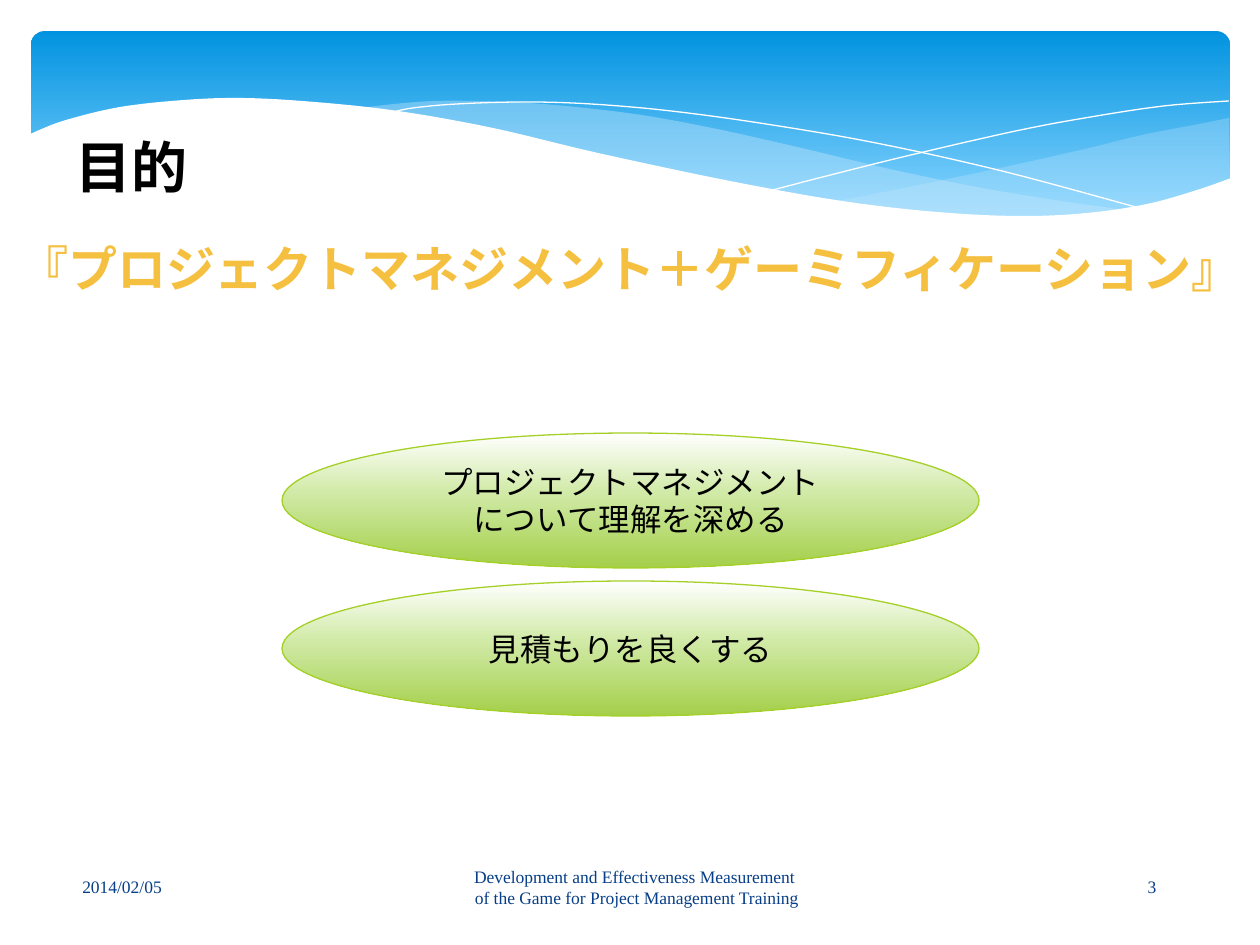
from itertools import pairwise

from lxml.etree import SubElement
from pptx import Presentation
from pptx.dml.color import RGBColor
from pptx.enum.shapes import MSO_SHAPE
from pptx.enum.text import MSO_ANCHOR, PP_ALIGN
from pptx.oxml.ns import qn
from pptx.util import Inches, Pt

PX_PER_INCH = 126
STEPS = 6
CJK_FONT = "Noto Sans CJK JP"
COLORS = {
    "text": "000000",
    "footer": "073E87",
    "subtitle": "F5C040",
    "goal_line": "A5D028",
    "wave": "C6E7FC",
    "white": "FFFFFF",
}
HEADER_STOPS = [(0, "0293E0"), (90, "83D3FE")]
GOAL_STOPS = [(0, "FFFFFF"), (44, "D1EAA7"), (100, "A4CF4A")]

RIGHT_WAVE_TOP = [(1229, 118), (1194, 125), (1142, 135), (1085, 149), (1014, 165),
                  (919, 185), (833, 202)]
RIGHT_WAVE_BOTTOM = [(833, 202), (871, 207), (922, 212), (984, 216), (1038, 217),
                     (1087, 214), (1140, 206), (1187, 194), (1230, 178)]
LONG_WAVE_TOP = [(1125, 210), (1055, 200), (977, 187), (890, 169), (793, 146),
                 (717, 129), (648, 116), (586, 108), (529, 103), (479, 101),
                 (433, 101), (394, 104), (360, 108)]
LONG_WAVE_BOTTOM = [(360, 108), (431, 118), (509, 133), (566, 146), (668, 170),
                    (757, 189), (838, 203), (910, 211), (974, 216), (1031, 218),
                    (1080, 216), (1125, 210)]
FALLING_LINE = [(389, 113), (413, 108), (457, 104), (524, 102), (591, 104),
                (671, 111), (766, 124), (876, 143), (1002, 171), (1143, 209)]
RISING_LINE = [(773, 190), (823, 177), (907, 156), (1016, 131), (1091, 117),
               (1164, 106), (1229, 101)]
HEADER_EDGE = [(1231, 178), (1197, 190), (1147, 204), (1087, 213), (1019, 216),
               (937, 212), (842, 201), (730, 181), (598, 153), (493, 128),
               (398, 111), (315, 102), (243, 98), (184, 100), (120, 107),
               (66, 120), (37, 131), (29, 135)]
COVER_CORNERS = [(29, 282), (1231, 282)]


def px(length):
    return Inches(length / PX_PER_INCH)


def rgb(name):
    return RGBColor.from_string(COLORS[name])


def smooth(knots):
    """Return points of a Catmull-Rom curve through the knots."""
    padded = [knots[0], *knots, knots[-1]]
    points = [knots[0]]
    for i, (start, end) in enumerate(pairwise(knots)):
        before, after = padded[i], padded[i + 3]
        for step in range(1, STEPS + 1):
            t = step / STEPS
            points.append(tuple(
                b + t * (c - a) / 2
                + t**2 * (2 * a - 5 * b + 4 * c - d) / 2
                + t**3 * (3 * b - a - 3 * c + d) / 2
                for a, b, c, d in zip(before, start, end, after)))
    return points


def add_outline(slide, points, close):
    corners = [(px(x), px(y)) for x, y in points]
    builder = slide.shapes.build_freeform(*corners[0])
    builder.add_line_segments(corners[1:], close=close)
    outline = builder.convert_to_shape()
    outline.shadow.inherit = False
    return outline


def add_area(slide, points, color, opacity=100):
    area = add_outline(slide, points, True)
    area.fill.solid()
    area.fill.fore_color.rgb = rgb(color)
    area.line.fill.background()
    if opacity < 100:
        tint = area.fill._xPr.find(".//" + qn("a:srgbClr"))
        SubElement(tint, qn("a:alpha"), val=str(opacity * 1000))


def add_hairline(slide, knots):
    hairline = add_outline(slide, smooth(knots), False)
    hairline.fill.background()
    hairline.line.color.rgb = rgb("white")
    hairline.line.width = Pt(0)


def add_gradient_shape(slide, kind, box, stops):
    shape = slide.shapes.add_shape(kind, *map(px, box))
    shape.shadow.inherit = False
    shape.line.fill.background()
    shape.fill.gradient()
    shape.fill.gradient_angle = 270
    stop_list = shape.fill._xPr.find(".//" + qn("a:gsLst"))
    for old_stop in list(stop_list):
        stop_list.remove(old_stop)
    for position, color in stops:
        stop = SubElement(stop_list, qn("a:gs"), pos=str(position * 1000))
        SubElement(stop, qn("a:srgbClr"), val=color)
    return shape


def write(shape, lines, size, color, font=CJK_FONT, bold=False,
          align=PP_ALIGN.CENTER, anchor=MSO_ANCHOR.MIDDLE):
    frame = shape.text_frame
    frame.word_wrap = True
    frame.vertical_anchor = anchor
    frame.text = "\n".join(lines)
    for paragraph in frame.paragraphs:
        paragraph.alignment = align
        paragraph.font.size = Pt(size)
        paragraph.font.bold = bold
        paragraph.font.color.rgb = rgb(color)
        paragraph.font.name = font
        SubElement(paragraph.font._rPr, qn("a:ea"), typeface=CJK_FONT)


def add_text(slide, box, lines, size, color, **style):
    write(slide.shapes.add_textbox(*map(px, box)), lines, size, color, **style)


def add_header(slide):
    band = add_gradient_shape(slide, MSO_SHAPE.ROUNDED_RECTANGLE,
                              (31, 31, 1199, 197), HEADER_STOPS)
    band.adjustments[0] = 0.07
    add_area(slide, smooth(RIGHT_WAVE_TOP) + smooth(RIGHT_WAVE_BOTTOM), "wave", 29)
    add_area(slide, smooth(LONG_WAVE_TOP) + smooth(LONG_WAVE_BOTTOM), "wave", 40)
    add_hairline(slide, FALLING_LINE)
    add_hairline(slide, RISING_LINE)
    add_area(slide, smooth(HEADER_EDGE) + COVER_CORNERS, "white")


def add_footer(slide):
    footer = [
        (44, 156, ["2014/02/05"]),
        (205, 863, ["Development and Effectiveness Measurement ",
                    "of the Game for Project Management Training"]),
        (1072, 160, ["3"]),
    ]
    for left, width, lines in footer:
        add_text(slide, (left, 862, width, 50), lines, 10, "footer",
                 font="Times New Roman")


def add_goals(slide):
    goals = [["プロジェクトマネジメント", "について理解を深める"], ["見積もりを良くする"]]
    for row, lines in enumerate(goals):
        goal = add_gradient_shape(slide, MSO_SHAPE.OVAL,
                                  (282, 433 + 148 * row, 697, 135), GOAL_STOPS)
        goal.line.color.rgb = rgb("goal_line")
        goal.line.width = Pt(0.75)
        write(goal, lines, 18, "text")


def main():
    presentation = Presentation()
    presentation.slide_width, presentation.slide_height = px(1260), px(945)
    slide = presentation.slides.add_slide(presentation.slide_layouts[6])
    add_header(slide)
    add_footer(slide)
    add_text(slide, (63, 126, 640, 88), ["目的"], 32, "text", font="Arial",
             bold=True, align=PP_ALIGN.LEFT, anchor=MSO_ANCHOR.TOP)
    add_text(slide, (0, 232, 1260, 72), ["『プロジェクトマネジメント＋ゲーミフィケーション』"],
             28, "subtitle", bold=True, anchor=MSO_ANCHOR.TOP)
    add_goals(slide)
    presentation.save("out.pptx")


if __name__ == "__main__":
    main()
